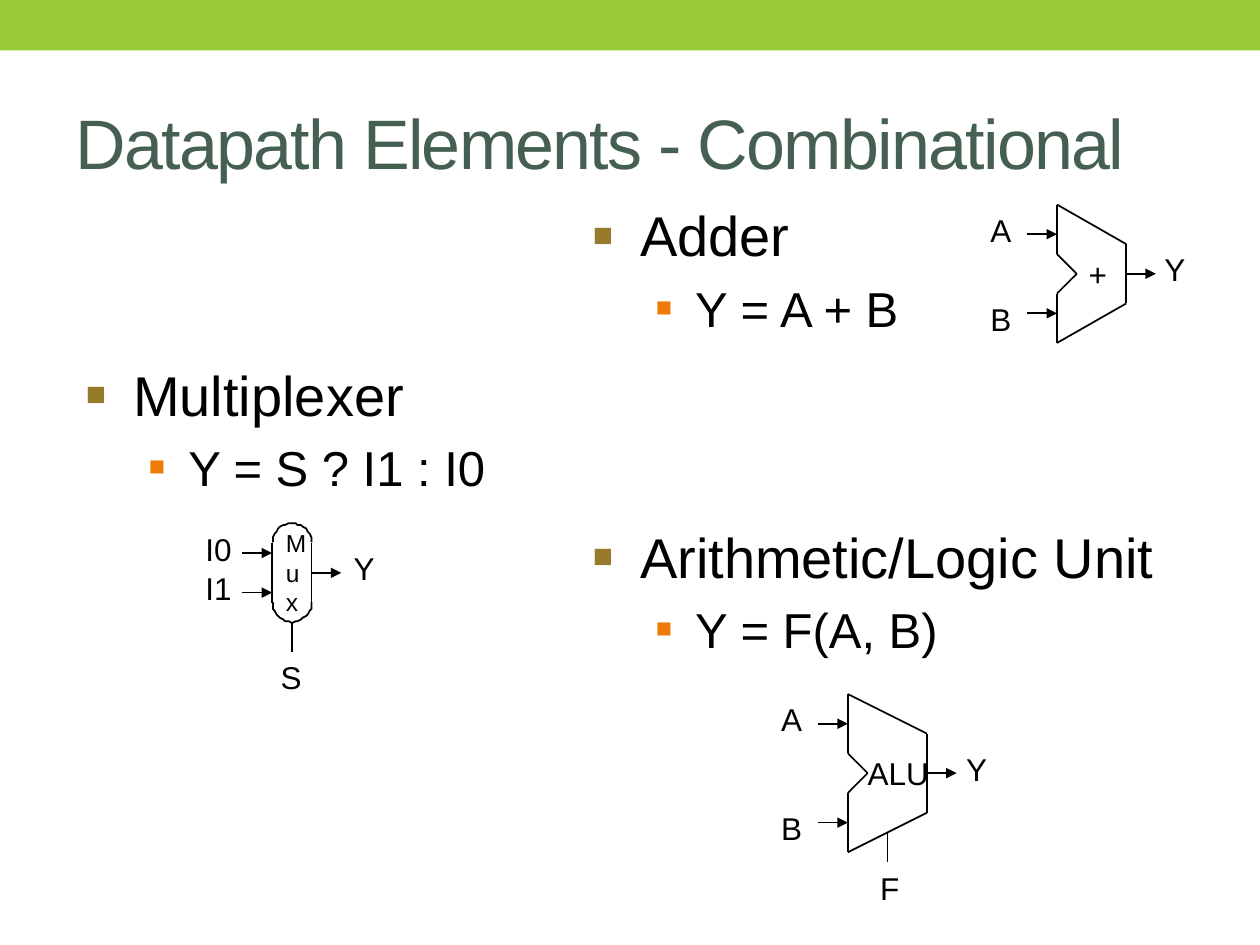
import math

from lxml import etree
from pptx import Presentation
from pptx import util as u
from pptx.dml.color import RGBColor
from pptx.enum import shapes, text
from pptx.oxml.ns import qn

Pt = u.Pt
FONT, BLACK = "Arial", "000000"
UNIT = 11.3  # drawing grid of the three circuit symbols


def paint(color_format, hex_color):
    color_format.rgb = RGBColor.from_string(hex_color)


def add_text(content, left, top, width, height, size, insets=(7.2, 3.6, 7.2, 3.6), wrap=False):
    frame = slide.shapes.add_textbox(Pt(left), Pt(top), Pt(width), Pt(height)).text_frame
    settings = {"word_wrap": wrap, "auto_size": text.MSO_AUTO_SIZE.NONE}
    sides = ("margin_left", "margin_top", "margin_right", "margin_bottom")
    settings.update(zip(sides, map(Pt, insets)))
    for attribute, value in settings.items():
        setattr(frame, attribute, value)
    frame.text = content
    for paragraph in frame.paragraphs:
        paragraph.font.name, paragraph.font.size = FONT, Pt(size)
        paint(paragraph.font.color, BLACK)
    return frame


deck = Presentation()
deck.slide_width, deck.slide_height = Pt(720), Pt(540)
slide = deck.slides.add_slide(deck.slide_layouts[5])

# Green band along the top edge
band = slide.shapes.add_shape(shapes.MSO_SHAPE.RECTANGLE, 0, 0, Pt(720), Pt(28.8))
band.shadow.inherit = False
band.fill.solid()
paint(band.fill.fore_color, "99CB38")
band.line.fill.background()

# Title
title = slide.shapes.title
for attribute, value in {"left": 36, "top": 41.8, "width": 648, "height": 77.8}.items():
    setattr(title, attribute, Pt(value))
title.text_frame.text = "Datapath Elements - Combinational"
title.text_frame.vertical_anchor = text.MSO_ANCHOR.MIDDLE
title.text_frame.auto_size = text.MSO_AUTO_SIZE.NONE
heading = title.text_frame.paragraphs[0]
heading.alignment = text.PP_ALIGN.LEFT
heading_run = heading.runs[0]
heading_run.font.name, heading_run.font.size = FONT, Pt(40)
paint(heading_run.font.color, "455F51")
heading_run.font._element.set("spc", "-100")

# Bulleted descriptions: element name, then its formula
descriptions = [
    ("Multiplexer", "Y = S ? I1 : I0", 42, 202.3, 255),
    ("Adder", "Y = A + B", 331.7, 111.3, 244),
    ("Arithmetic/Logic Unit", "Y = F(A, B)", 331.7, 294.8, 340),
]
# size, left margin, hanging indent, bullet colour, bullet percent
levels = [(32, 27, 27, "977B2D", 60), (28, 58.5, 22.5, "EE7B08", 55)]
for element, formula, left, top, width in descriptions:
    frame = add_text(f"{element}\n{formula}", left, top, width, 102.2, 32, wrap=True)
    for depth, (size, margin, hang, bullet_color, percent) in enumerate(levels):
        paragraph = frame.paragraphs[depth]
        paragraph.level = depth
        paragraph.font.size = Pt(size)
        props = paragraph._p.get_or_add_pPr()
        props.set("marL", str(Pt(margin)))
        props.set("indent", str(-Pt(hang)))
        bullet_parts = [
            ("spcBef", "spcPct", {"val": "20000"}),
            ("buClr", "srgbClr", {"val": bullet_color}),
            ("buSzPct", None, {"val": str(percent * 1000)}),
            ("buFont", None, {"typeface": FONT}),
            ("buChar", None, {"char": "■"}),
        ]
        for position, (tag, child, values) in enumerate(bullet_parts):
            part = etree.Element(qn(f"a:{tag}"))
            holder = etree.SubElement(part, qn(f"a:{child}")) if child else part
            for key, value in values.items():
                holder.set(key, value)
            props.insert(position, part)

# Circuit symbols; every offset is in grid units from the symbol's top left corner.
# wires: x1, y1, x2, y2, arrowhead; labels: text, x, y, width in points
symbols = [
    {   # Multiplexer
        "origin": (155.5, 299.1), "outline": [],
        "wires": [(-1.5, 1.5, 0, 1.5, True), (-1.5, 3.5, 0, 3.5, True),
                  (2, 2.5, 3.5, 2.5, True), (1, 6.5, 1, 5, False),
                  (0, 1, 0, 4, False), (2, 1, 2, 4, False)],
        "labels": [("I0", -4, 0, 29.4), ("I1", -4, 2, 29.4),
                   ("Y", 3.5, 1, 26.4), ("S", -0.2, 6.5, 26.4)],
        "name": ("M\vu\vx", 0.7, 0, 22.3, 53.3, 14, (0, 2.9, 0, 0), True),
    },
    {   # Adder
        "origin": (604, 116.9),
        "outline": [(0, 0), (3.5, 2), (3.5, 5), (0, 7), (0, 4.5), (1, 3.5), (0, 2.5)],
        "wires": [(-1.5, 1.5, 0, 1.5, True), (-1.5, 5.5, 0, 5.5, True),
                  (3.5, 3.5, 5, 3.5, True)],
        "labels": [("A", -4, 0, 26.4), ("B", -4, 4.5, 26.4), ("Y", 4.8, 2, 26.4)],
        "name": ("+", 1.6, 2.57, 10.5, 21.6, 18, (0, 0, 0, 0), False),
    },
    {   # Arithmetic/logic unit
        "origin": (484.5, 396.6),
        "outline": [(0, 0), (4, 2), (4, 6), (0, 8), (0, 5), (1, 4), (0, 3)],
        "wires": [(-1.5, 1.5, 0, 1.5, True), (-1.5, 6.5, 0, 6.5, True),
                  (4, 4, 5.5, 4, True), (2, 7, 2, 8.5, False)],
        "labels": [("A", -4, 0, 26.4), ("B", -4, 5.5, 26.4),
                   ("Y", 5.35, 2.5, 26.4), ("F", 1, 8.55, 25.4)],
        "name": ("ALU", 1, 3.05, 35, 21.6, 18, (0, 0, 0, 0), False),
    },
]
for symbol in symbols:
    x0, y0 = symbol["origin"]
    outline = symbol["outline"]

    # Wires, and the straight edges of the body
    edges = [(*a, *b, False) for a, b in zip(outline, outline[1:] + outline[:1])]
    for x1, y1, x2, y2, arrow in symbol["wires"] + edges:
        wire = slide.shapes.add_connector(
            shapes.MSO_CONNECTOR.STRAIGHT, Pt(x0 + x1 * UNIT), Pt(y0 + y1 * UNIT),
            Pt(x0 + x2 * UNIT), Pt(y0 + y2 * UNIT))
        paint(wire.line.color, BLACK)
        wire.line.width = Pt(1)
        if arrow:
            etree.SubElement(wire.line._get_or_add_ln(), qn("a:tailEnd"), type="triangle")
        etree.SubElement(wire._element.spPr, qn("a:effectLst"))

    # Port labels and the name inside the body
    for label, x, y, width in symbol["labels"]:
        add_text(label, x0 + x * UNIT, y0 + y * UNIT, width, 28.8, 18)
    name, x, y, *layout = symbol["name"]
    add_text(name, x0 + x * UNIT, y0 + y * UNIT, *layout)

# Rounded ends of the multiplexer: quarter circles around (1, 1) and (1, 4)
mux_x, mux_y = symbols[0]["origin"]
for center_y, start in [(1, 180), (1, 270), (4, 0), (4, 90)]:
    angles = [math.radians(start + step) for step in range(0, 91, 9)]
    curve = [(mux_x + (1 + math.cos(angle)) * UNIT,
              mux_y + (center_y + math.sin(angle)) * UNIT) for angle in angles]
    builder = slide.shapes.build_freeform(*curve[0], scale=Pt(1))
    builder.add_line_segments(curve[1:], close=False)
    corner = builder.convert_to_shape()
    corner.shadow.inherit = False
    corner.fill.background()
    paint(corner.line.color, BLACK)
    corner.line.width = Pt(1)

deck.save("out.pptx")
